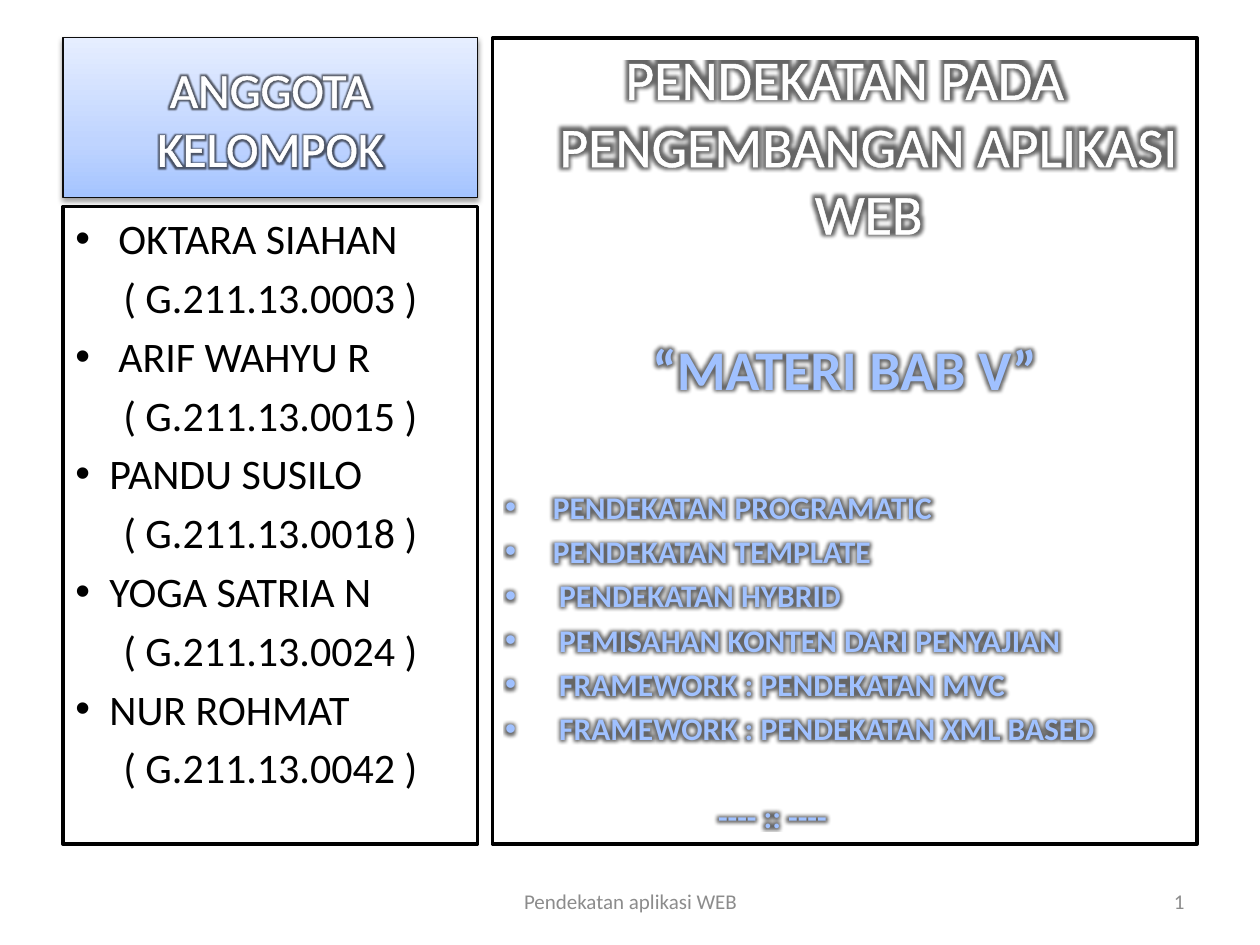
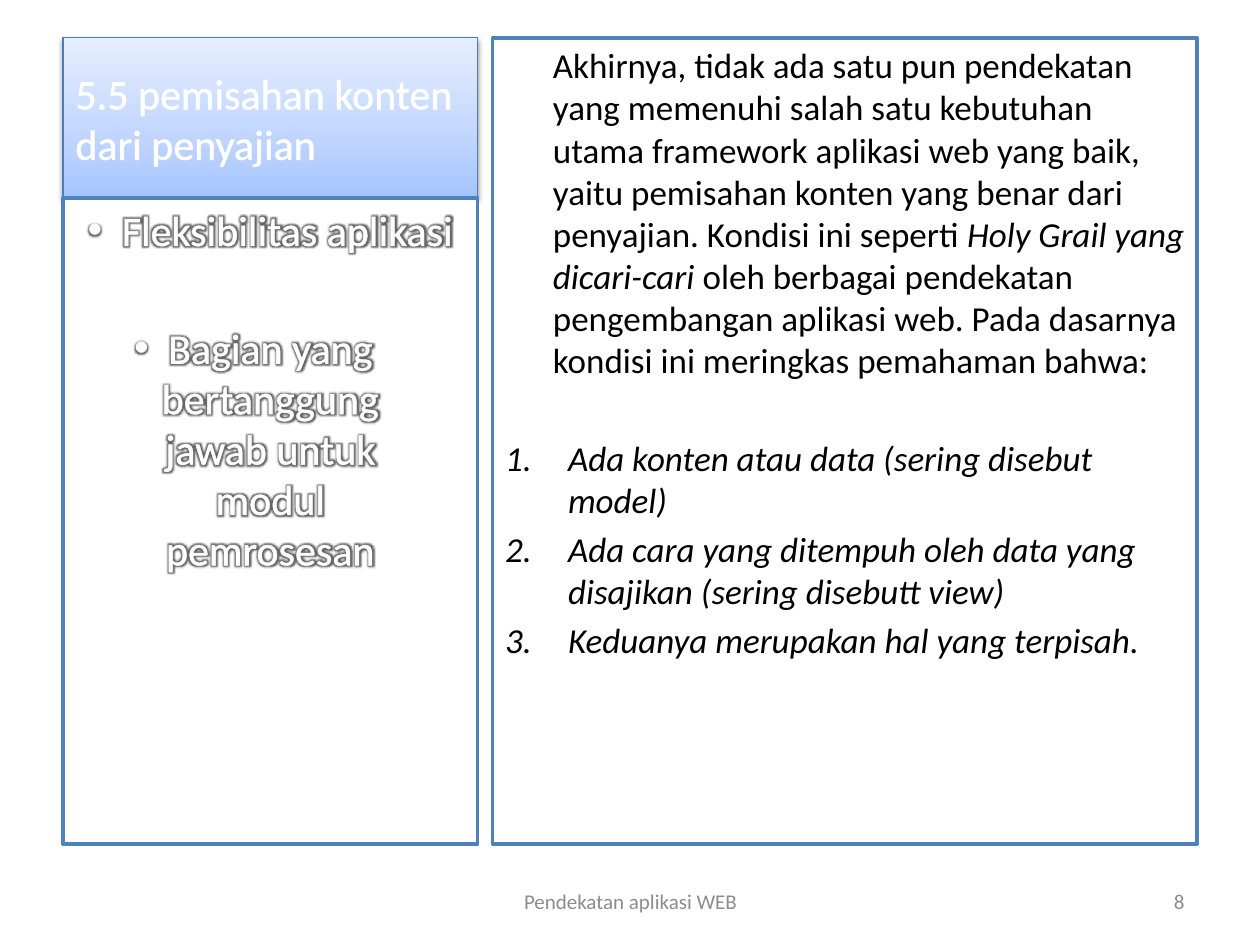
from lxml.etree import SubElement
from pptx import Presentation
from pptx.dml.color import RGBColor
from pptx.enum.shapes import MSO_SHAPE as Preset
from pptx.enum.text import MSO_ANCHOR as Anchor, PP_ALIGN as Align
from pptx.oxml.ns import qn
from pptx.util import Inches, Pt

COLORS = {
    "white": "FFFFFF",
    "black": "000000",
    "ink": "0D0D0D",
    "sky": "A0C1FF",
    "sky_line": "467AB8",
    "blue": "4F81BD",
    "heading_blue": "4B7EBC",
    "footer": "8C8C8C",
}
HEADING_STOPS = [(0, "A4C4FF"), (35, "BFD4FF"), (100, "E6EEFF")]
FONT = "Calibri"
LEFT, TOP, BOTTOM = 0.5, 0.3, 6.7
SIDE_WIDTH, HEADING_HEIGHT = 3.29, 1.27
MAIN_LEFT, MAIN_WIDTH = 3.91, 5.59
HANG = 0.38

WHITE_ART = {"color": "white", "outline": ("white", 1.45)}
SKY_ART = {"color": "sky", "outline": ("sky_line", 0.83), "bold": True}

MEMBERS = [
    ("OKTARA SIAHAN", "0003", 0.34),
    ("ARIF WAHYU R", "0015", 0.34),
    ("PANDU SUSILO", "0018", 0.27),
    ("YOGA SATRIA N", "0024", 0.27),
    ("NUR ROHMAT", "0042", 0.27),
]
TOPICS = [
    ("PENDEKATAN PROGRAMATIC", 0.38),
    ("PENDEKATAN TEMPLATE", 0.38),
    ("PENDEKATAN HYBRID", 0.43),
    ("PEMISAHAN KONTEN DARI PENYAJIAN", 0.43),
    ("FRAMEWORK : PENDEKATAN MVC", 0.43),
    ("FRAMEWORK : PENDEKATAN XML BASED", 0.43),
]
CONCLUSIONS = [
    "Ada konten atau data (sering disebut model)",
    "Ada cara yang ditempuh oleh data yang disajikan (sering disebutt view)",
    "Keduanya merupakan hal yang terpisah.",
]


def rgb(name):
    return RGBColor.from_string(COLORS[name])


def add_black(effect, alpha):
    color = SubElement(effect, qn("a:srgbClr"), val=COLORS["black"])
    SubElement(color, qn("a:alpha"), val=str(alpha * 1000))


def add_shadow(effects):
    shadow = SubElement(effects, qn("a:outerShdw"), blurRad=str(Pt(3.1)),
                        dist=str(Pt(1.6)), dir="5400000", rotWithShape="0")
    add_black(shadow, 38)


def add_outline(properties, color, width):
    line = SubElement(properties, qn("a:ln"), w=str(Pt(width)))
    fill = SubElement(line, qn("a:solidFill"))
    SubElement(fill, qn("a:srgbClr"), val=COLORS[color])
    properties.insert(0, line)


def add_halo(properties):
    effects = SubElement(properties, qn("a:effectLst"))
    add_black(SubElement(effects, qn("a:glow"), rad=str(Pt(5))), 60)
    properties.find(qn("a:solidFill")).addnext(effects)


def add_run(paragraph, text, size, color="black", bold=False, italic=False,
            outline=None, halo=False):
    run = paragraph.add_run()
    run.text = text
    font = run.font
    font.name, font.size, font.bold, font.italic = FONT, Pt(size), bold, italic
    font.color.rgb = rgb(color)
    properties = font._element
    if outline:
        add_outline(properties, *outline)
    if halo:
        add_halo(properties)


def set_bullet(properties, bullet):
    if bullet == "1.":
        SubElement(properties, qn("a:buAutoNum"), type="arabicPeriod")
    else:
        SubElement(properties, qn("a:buFont"), typeface="Arial")
        SubElement(properties, qn("a:buChar"), char=bullet)


def write(shape, text, size, align=Align.LEFT, before=0, margin=0, hang=0,
          right=0, bullet=None, **style):
    frame = shape.text_frame
    paragraph = frame.paragraphs[0]
    if paragraph.runs:
        paragraph = frame.add_paragraph()
    paragraph.alignment = align
    paragraph.space_before = Pt(before)
    properties = paragraph._p.get_or_add_pPr()
    properties.set("marL", str(Inches(margin)))
    properties.set("marR", str(Inches(right)))
    properties.set("indent", str(-Inches(hang)))
    if bullet:
        set_bullet(properties, bullet)
    add_run(paragraph, text, size, **style)
    return paragraph


def add_panel(slide, left, top, width, height, line, line_width=2):
    shape = slide.shapes.add_shape(Preset.RECTANGLE, Inches(left), Inches(top),
                                   Inches(width), Inches(height))
    shape.shadow.inherit = False
    shape.fill.solid()
    shape.fill.fore_color.rgb = rgb("white")
    shape.line.color.rgb = rgb(line)
    shape.line.width = Pt(line_width)
    shape.text_frame.word_wrap = True
    shape.text_frame.vertical_anchor = Anchor.TOP
    return shape


def add_heading(slide, text, size, line, **style):
    shape = add_panel(slide, LEFT, TOP, SIDE_WIDTH, HEADING_HEIGHT, line, 0.75)
    shape.fill.gradient()
    shape.fill.gradient_angle = 90
    properties = shape._element.spPr
    stops = properties.find(qn("a:gradFill")).find(qn("a:gsLst"))
    for stop in list(stops):
        stops.remove(stop)
    for position, color in HEADING_STOPS:
        stop = SubElement(stops, qn("a:gs"), pos=str(position * 1000))
        SubElement(stop, qn("a:srgbClr"), val=color)
    add_shadow(properties.find(qn("a:effectLst")))
    shape.text_frame.vertical_anchor = Anchor.MIDDLE
    write(shape, text, size, **WHITE_ART, **style)


def add_main_panel(slide, line):
    return add_panel(slide, MAIN_LEFT, TOP, MAIN_WIDTH, BOTTOM - TOP, line)


def add_side_panel(slide, top, line):
    return add_panel(slide, LEFT, top, SIDE_WIDTH, BOTTOM - top, line)


def add_footer(slide, number):
    for text, left, width, align in [
        (number, 7.17, 2.33, Align.RIGHT),
        ("Pendekatan aplikasi WEB", 3.42, 3.17, Align.CENTER),
    ]:
        box = slide.shapes.add_textbox(Inches(left), Inches(6.95),
                                       Inches(width), Inches(0.4))
        box.text_frame.word_wrap = True
        box.text_frame.vertical_anchor = Anchor.MIDDLE
        write(box, text, 12, align=align, color="footer")


def add_members_slide(slide):
    add_heading(slide, "ANGGOTA KELOMPOK", 28, "ink", align=Align.CENTER,
                halo=True)

    main_panel = add_main_panel(slide, "black")
    write(main_panel, "PENDEKATAN PADA PENGEMBANGAN APLIKASI WEB", 32,
          align=Align.CENTER, margin=HANG, hang=HANG, halo=True, **WHITE_ART)
    write(main_panel, "“MATERI BAB V”", 32, align=Align.CENTER, before=51,
          margin=HANG, hang=HANG, halo=True, **SKY_ART)
    for index, (topic, margin) in enumerate(TOPICS):
        write(main_panel, topic, 18, before=3.7 if index else 49,
              margin=margin, hang=margin, bullet="•", halo=True, **SKY_ART)
    write(main_panel, "---- :: ----", 18, before=28.5, margin=1.69, halo=True,
          **SKY_ART)

    side_panel = add_side_panel(slide, 1.64, "black")
    for index, (name, number, margin) in enumerate(MEMBERS):
        write(side_panel, name, 24, before=4.8 if index else 0,
              margin=margin, hang=margin, bullet="•")
        write(side_panel, f"( G.211.13.{number} )", 24, before=4.8,
              margin=HANG)
    add_footer(slide, "1")


def add_separation_slide(slide):
    add_heading(slide, "5.5 pemisahan konten dari penyajian", 24,
                "heading_blue")

    main_panel = add_main_panel(slide, "blue")
    paragraph = write(
        main_panel,
        "Akhirnya, tidak ada satu pun pendekatan yang memenuhi salah satu "
        "kebutuhan utama framework aplikasi web yang baik, yaitu pemisahan "
        "konten yang benar dari penyajian. Kondisi ini seperti ",
        20, margin=HANG)
    add_run(paragraph, "Holy Grail yang dicari-cari", 20, italic=True)
    add_run(paragraph, " oleh berbagai pendekatan pengembangan aplikasi web. "
            "Pada dasarnya kondisi ini meringkas pemahaman bahwa:", 20)
    for index, conclusion in enumerate(CONCLUSIONS):
        write(main_panel, conclusion, 20, before=4 if index else 32,
              margin=0.5, hang=0.5, bullet="1.", italic=True)

    side_panel = add_side_panel(slide, TOP + HEADING_HEIGHT, "blue")
    bullet_style = {"align": Align.CENTER, "margin": 0.27, "hang": 0.27,
                    "bullet": "•", "halo": True, **WHITE_ART}
    write(side_panel, "Fleksibilitas aplikasi", 24, **bullet_style)
    write(side_panel, "Bagian yang bertanggung jawab untuk modul pemrosesan",
          24, before=38.5, right=0.27, **bullet_style)
    add_footer(slide, "8")


def main():
    presentation = Presentation()
    presentation.slide_width = Inches(10)
    presentation.slide_height = Inches(7.5)
    blank = presentation.slide_layouts[6]
    for build in (add_members_slide, add_separation_slide):
        build(presentation.slides.add_slide(blank))
    presentation.save("out.pptx")


if __name__ == "__main__":
    main()
